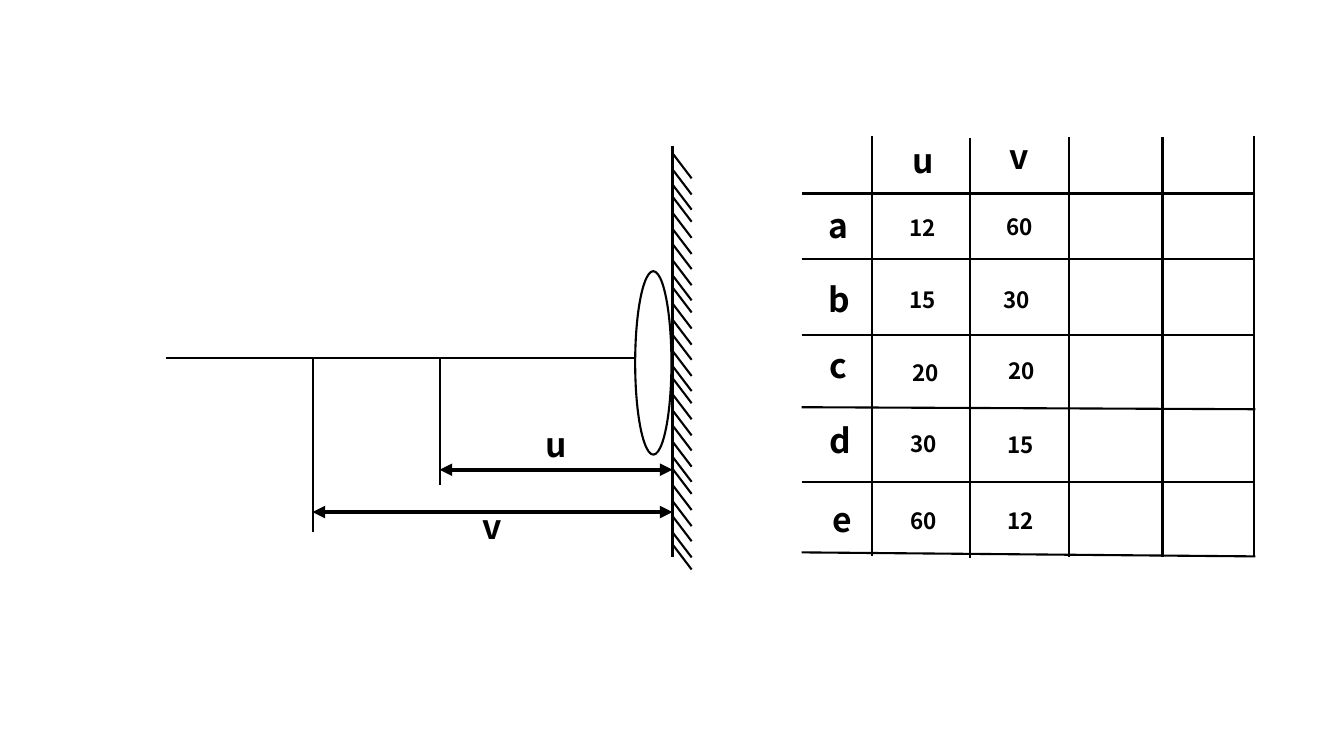
"""Build a mirror-and-lens distance diagram beside a grid of u and v readings."""
from lxml import etree
from pptx import Presentation
from pptx import util as u
from pptx.dml.color import RGBColor
from pptx.enum import shapes, text
from pptx.oxml.ns import qn

PX = 9144
FONT = "Noto Sans CJK SC"
INK, PAPER = (RGBColor.from_string(shade) for shade in ("000000", "FFFFFF"))

deck = Presentation()
deck.slide_width, deck.slide_height = 1333 * PX, 750 * PX
slide = deck.slides.add_slide(deck.slide_layouts[6])


def stroke(x1, y1, x2, y2, weight=1.5, arrows=False):
    line = slide.shapes.add_connector(
        shapes.MSO_CONNECTOR.STRAIGHT, x1 * PX, y1 * PX, x2 * PX, y2 * PX)
    line.line.color.rgb = INK
    line.line.width = u.Pt(weight)
    properties = line._element.spPr
    if arrows:
        for end in ("a:headEnd", "a:tailEnd"):
            etree.SubElement(properties.find(qn("a:ln")), qn(end), type="triangle")
    etree.SubElement(properties, qn("a:effectLst"))


def label(words, x, y, size=24, width=82):
    height = 50 if size == 24 else 37
    box = slide.shapes.add_textbox(x * PX, y * PX, width * PX, height * PX)
    frame = box.text_frame
    frame.word_wrap = True
    frame.auto_size = text.MSO_AUTO_SIZE.SHAPE_TO_FIT_TEXT
    frame.text = words
    font = frame.paragraphs[0].runs[0].font
    font.name, font.size, font.bold = FONT, u.Pt(size), True
    font.color.rgb = INK


stroke(165, 355, 631, 355)
lens = slide.shapes.add_shape(
    shapes.MSO_SHAPE.OVAL, 630 * PX, 269 * PX, 36 * PX, 182 * PX)
lens.shadow.inherit = False
lens.fill.solid()
lens.fill.fore_color.rgb = PAPER
lens.line.color.rgb = INK
lens.line.width = u.Pt(1.5)

stroke(667, 145, 667, 553)
hatches = [start + step for start in range(152, 513, 90)
           for step in (0, 16, 31, 43, 59, 75)]
for y in hatches[:26] + [540]:
    stroke(667, y, 686, y + 25)

for name, x, bottom, arrow_y, name_x, name_y in (
        ("u", 436, 481, 466, 531, 416), ("v", 310, 528, 508, 469, 497)):
    stroke(x, 355, x, bottom)
    stroke(x, arrow_y, 667, arrow_y, 3, True)
    label(name, name_x, name_y)

for left_y, right_y in ((192, 192), (257, 257), (332, 332),
                        (404, 406), (478, 478), (548, 552)):
    stroke(795, left_y, 1245, right_y)
for x, top in ((865, 135), (962, 137), (1060, 136), (1153, 136), (1244, 135)):
    stroke(x, top, x, top + 417)

label("u", 895, 134)
label("v", 991, 130)
readings = (
    (("a", 812, 198, 82), ("12", 892, 208, 82), ("60", 988, 207)),
    (("b", 812, 272, 82), ("15", 892, 279, 82), ("30", 985, 279)),
    (("c", 813, 337, 82), ("20", 895, 351, 82), ("20", 990, 349)),
    (("d", 813, 412, 49), ("30", 893, 422, 70), ("15", 989, 423)),
    (("e", 816, 490, 82), ("60", 893, 498, 82), ("12", 989, 498)),
)
for (row, row_x, row_y, row_width), (near, near_x, near_y, near_width), far in readings:
    label(row, row_x, row_y, width=row_width)
    label(near, near_x, near_y, 16, near_width)
    label(*far, 16)

deck.save("out.pptx")
